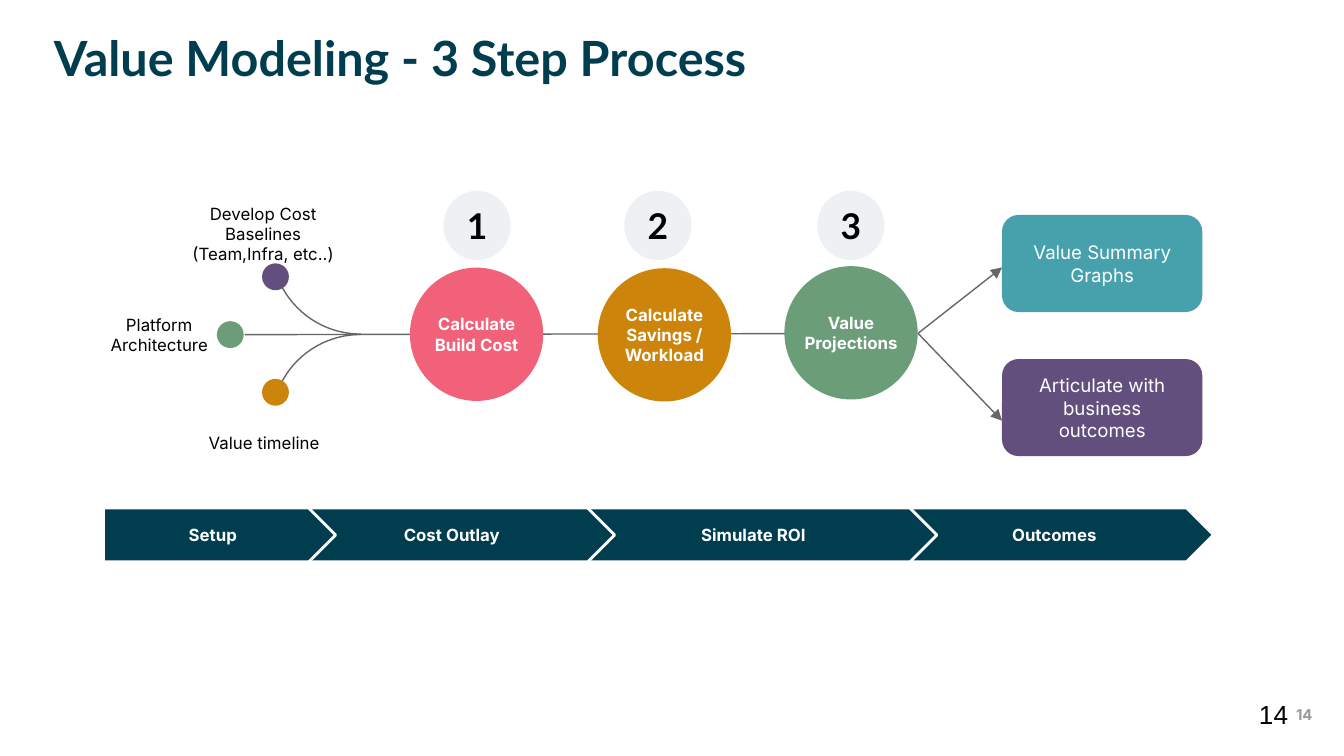
import pptx
import pptx.util
import pptx.dml.color
import pptx.enum.shapes
import pptx.enum.text
import pptx.oxml.ns
from lxml import etree

Pt = pptx.util.Pt
KIND = pptx.enum.shapes.MSO_SHAPE
ALIGN = pptx.enum.text.PP_ALIGN
ANCHOR = pptx.enum.text.MSO_ANCHOR
qn = pptx.oxml.ns.qn

NAVY, GRAY, WHITE, BLACK = "003D4F", "666666", "FFFFFF", "000000"
PINK, GOLD, GREEN = "F2617A", "CC850A", "6B9E78"
PLUM, TEAL, PALE = "634F7D", "47A1AD", "EDF1F3"


def color(code):
    return pptx.dml.color.RGBColor.from_string(code)


def write(frame, text, size=9, font="Inter", ink=BLACK, bold=False,
          align=ALIGN.CENTER, anchor=ANCHOR.MIDDLE, inset=0):
    frame.word_wrap = True
    frame.auto_size = pptx.enum.text.MSO_AUTO_SIZE.NONE
    frame.vertical_anchor = anchor
    frame.margin_left = frame.margin_right = Pt(inset)
    frame.margin_top = frame.margin_bottom = Pt(inset)
    para = frame.paragraphs[0]
    para.alignment = align
    run = para.add_run()
    run.text = text
    run.font.name = font
    run.font.size = Pt(size)
    run.font.bold = bold
    run.font.color.rgb = color(ink)


class Deck:
    def __init__(self, width, height):
        self.prs = pptx.Presentation()
        self.prs.slide_width = Pt(width)
        self.prs.slide_height = Pt(height)
        self.slide = self.prs.slides.add_slide(self.prs.slide_layouts[5])
        self.stroke = 0.75

    def title(self, text, x, y, w, h):
        box = self.slide.shapes.title
        box.left, box.top, box.width, box.height = map(Pt, (x, y, w, h))
        write(box.text_frame, text, size=26, font="Lato", ink=NAVY,
              bold=True, align=ALIGN.LEFT, anchor=ANCHOR.TOP)

    def text(self, text, x, y, w, h, **style):
        box = self.slide.shapes.add_textbox(*map(Pt, (x, y, w, h)))
        write(box.text_frame, text, **style)

    def shape(self, kind, x, y, w, h, fill=None, line=None, wide=None,
              adjust=(), text=None, **style):
        item = self.slide.shapes.add_shape(kind, *map(Pt, (x, y, w, h)))
        item.shadow.inherit = False
        if fill:
            item.fill.solid()
            item.fill.fore_color.rgb = color(fill)
        else:
            item.fill.background()
        if line:
            item.line.color.rgb = color(line)
            item.line.width = Pt(wide or self.stroke)
        else:
            item.line.fill.background()
        for i, value in enumerate(adjust):
            item.adjustments[i] = value
        if text:
            write(item.text_frame, text, **style)

    def link(self, x1, y1, x2, y2, arrow=False):
        item = self.slide.shapes.add_connector(
            pptx.enum.shapes.MSO_CONNECTOR.STRAIGHT,
            *map(Pt, (x1, y1, x2, y2)))
        item.line.color.rgb = color(GRAY)
        item.line.width = Pt(self.stroke)
        if arrow:
            tip = etree.SubElement(item.line._get_or_add_ln(), qn("a:tailEnd"))
            tip.set("type", "triangle")
        etree.SubElement(item._element.spPr, qn("a:effectLst"))

    def dot(self, x, y, fill):
        self.shape(KIND.OVAL, x, y, 14.4, 14.4, fill)

    def arc(self, x, y, start, end):
        # Clockwise from the right; adjustments count 0.6 per degree
        self.shape(KIND.ARC, x, y, 95.8, 95.8, line=GRAY,
                   adjust=(start * 0.6, end * 0.6))


def main():
    deck = Deck(720, 405)
    deck.title("Value Modeling - 3 Step Process", 28.8, 15.1, 661.7, 48.2)

    # Page numbers
    deck.text("14", 691.2, 375.8, 15.1, 14.4, size=8, ink="999999", bold=True)
    deck.text("14", 667.4, 367.2, 43.2, 31, size=14, font="Arial",
              align=ALIGN.LEFT, inset=7.2)

    # Main line and input labels
    deck.link(131, 179.3, 491, 178.6)
    for text, x, y, w in (
            ("Platform Architecture", 55.4, 167.6, 59.8),
            ("Value timeline", 87.8, 225.4, 107.3),
            ("Develop Cost Baselines (Team,Infra, etc..)", 102.2, 113.5, 77.4)):
        deck.shape(KIND.RECTANGLE, x, y, w, 23.8, WHITE, text=text)

    # Input branches
    deck.arc(145.4, 179.2, 198.55, 270)
    deck.arc(145.4, 83.2, 90, 161.45)
    deck.dot(116.2, 172.1, GREEN)
    deck.dot(140.4, 203, GOLD)
    deck.dot(140.4, 141.1, PLUM)

    # Numbered steps
    steps = (("Calculate Build Cost", 219.6, 143.4, PINK, 237.6),
             ("Calculate Savings / Workload", 320.2, 143.7, GOLD, 334.5),
             ("Value Projections", 420.2, 142.6, GREEN, 437.8))
    for num, (text, x, y, fill, left) in enumerate(steps, 1):
        deck.shape(KIND.OVAL, x, y, 71.4, 71.4, fill, text=text,
                   ink=WHITE, bold=True)
        deck.shape(KIND.OVAL, left, 102.2, 36, 37.2, PALE, text=str(num),
                   size=19, font="Lato", bold=True, inset=7.2)

    # Outcome boxes with their arrows
    for text, y, fill, end in (
            ("Value Summary Graphs", 115.2, TEAL, 143.3),
            ("Articulate with business outcomes", 192.4, PLUM, 225.4)):
        deck.link(491.8, 178.6, 536.8, end, arrow=True)
        deck.shape(KIND.ROUNDED_RECTANGLE, 536.8, y, 107.3, 52, fill,
                   adjust=(0.17,), text=text, size=10, ink=WHITE, inset=7.2)

    # Phase band, last phase first so each tip overlaps the next
    phases = (("Setup", 55.4, 124.4), ("Cost Outlay", 162, 167.3),
              ("Simulate ROI", 312.5, 189.4), ("Outcomes", 486.7, 163.4))
    for text, x, w in reversed(phases):
        deck.shape(KIND.PENTAGON, x, 272.2, w, 28.8, NAVY, WHITE, 1.5,
                   adjust=(0.5,), text=text, ink=WHITE, bold=True, inset=7.2)

    deck.prs.save("out.pptx")


if __name__ == "__main__":
    main()
